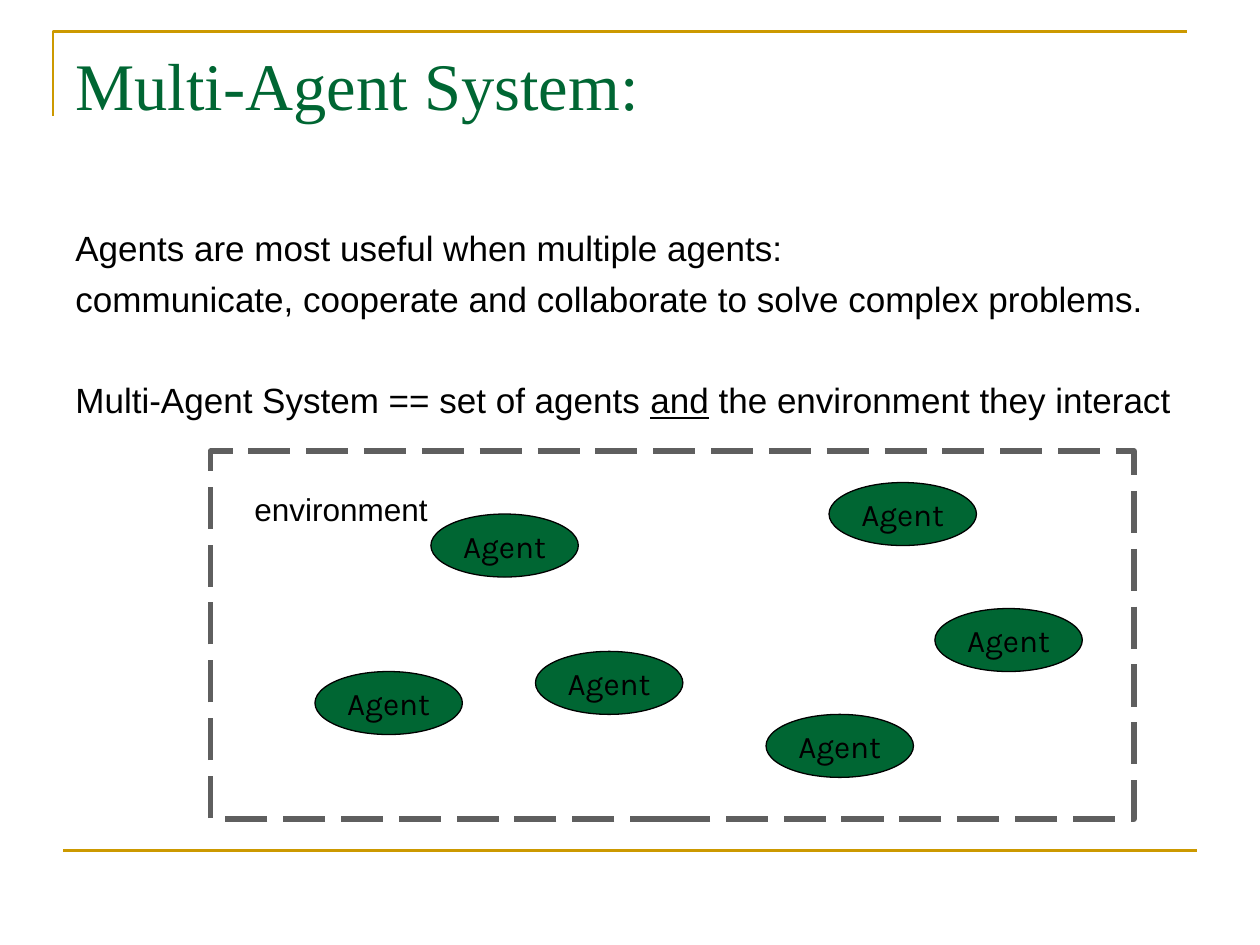
from typing import NamedTuple

from lxml.etree import SubElement
from pptx import Presentation
from pptx.dml.color import RGBColor
from pptx.enum.dml import MSO_LINE
from pptx.enum.shapes import MSO_CONNECTOR, MSO_SHAPE
from pptx.enum.text import MSO_ANCHOR, MSO_AUTO_SIZE, PP_ALIGN
from pptx.oxml.ns import qn
from pptx.util import Inches, Pt

COLORS = {"gold": "CC9900", "green": "006633", "black": "000000", "gray": "5F5F5F"}


class Font(NamedTuple):
    """Typeface, size in points and colour name."""

    face: str
    size: float
    color: str


class Agent(NamedTuple):
    """Top left corner of an agent, in inches."""

    left: float
    top: float


class Statement(NamedTuple):
    """Runs of one paragraph and the space before it, in points."""

    runs: tuple[tuple[str, bool], ...]
    before: float = 0


TITLE_FONT = Font("Times New Roman", 38, "green")
BODY_FONT = Font("Arial", 20, "black")
LABEL_FONT = Font("Arial", 18, "black")
AGENT_FONT = Font("Karla", 18, "black")

STATEMENTS = [
    Statement((("Agents are most useful when multiple agents:", False),)),
    Statement((("communicate, cooperate and collaborate to solve complex problems.", False),), 5),
    Statement((
        ("Multi-Agent System == set of agents ", False),
        ("and", True),
        (" the environment they interact", False),
    ), 34),
]

AGENTS = [
    Agent(2.5, 5.33),
    Agent(3.42, 4.08),
    Agent(6.08, 5.67),
    Agent(6.58, 3.83),
    Agent(4.25, 5.17),
    Agent(7.42, 4.83),
]


def rgb(name: str) -> RGBColor:
    """Return the named colour."""
    return RGBColor.from_string(COLORS[name])


def set_line(line, color: str, width: float) -> None:
    """Set the colour and width of an outline."""
    line.color.rgb = rgb(color)
    line.width = Pt(width)


def add_run(paragraph, text: str, font: Font, underline: bool = False) -> None:
    """Append one formatted run."""
    run = paragraph.add_run()
    run.text = text
    run.font.name = font.face
    run.font.size = Pt(font.size)
    run.font.color.rgb = rgb(font.color)
    if underline:
        run.font.underline = True


def add_text(slide, left: float, top: float, width: float, height: float,
             statements: list[Statement], font: Font, wrap: bool = True) -> None:
    """Add a text box with one paragraph per statement, grown to fit if unwrapped."""
    box = slide.shapes.add_textbox(Inches(left), Inches(top), Inches(width), Inches(height))
    frame = box.text_frame
    frame.word_wrap = wrap
    if not wrap:
        frame.auto_size = MSO_AUTO_SIZE.SHAPE_TO_FIT_TEXT
    for index, statement in enumerate(statements):
        paragraph = frame.add_paragraph() if index else frame.paragraphs[0]
        if statement.before:
            paragraph.space_before = Pt(statement.before)
        for text, underline in statement.runs:
            add_run(paragraph, text, font, underline)


def add_rules(slide) -> None:
    """Draw the corner rule at the top and the straight rule at the bottom."""
    builder = slide.shapes.build_freeform(Inches(0.42), Inches(0.92))
    builder.add_line_segments(
        [(Inches(0.42), Inches(0.25)), (Inches(9.42), Inches(0.25))], close=False
    )
    corner = builder.convert_to_shape()
    corner.shadow.inherit = False
    corner.fill.background()
    set_line(corner.line, "gold", 1.5)

    footer = slide.shapes.add_connector(
        MSO_CONNECTOR.STRAIGHT, Inches(0.5), Inches(6.75), Inches(9.5), Inches(6.75)
    )
    set_line(footer.line, "gold", 1.5)
    SubElement(footer._element.spPr, qn("a:effectLst"))


def add_environment(slide) -> None:
    """Draw the dashed border of the environment."""
    border = slide.shapes.add_shape(
        MSO_SHAPE.RECTANGLE, Inches(1.67), Inches(3.58), Inches(7.33), Inches(2.92)
    )
    border.shadow.inherit = False
    border.fill.background()
    set_line(border.line, "gray", 3)
    border.line.dash_style = MSO_LINE.LONG_DASH


def add_agent(slide, agent: Agent) -> None:
    """Draw one labelled agent."""
    oval = slide.shapes.add_shape(
        MSO_SHAPE.OVAL, Inches(agent.left), Inches(agent.top), Inches(1.17), Inches(0.5)
    )
    oval.shadow.inherit = False
    oval.fill.solid()
    oval.fill.fore_color.rgb = rgb("green")
    set_line(oval.line, "black", 0.75)
    frame = oval.text_frame
    frame.word_wrap = False
    frame.vertical_anchor = MSO_ANCHOR.MIDDLE
    paragraph = frame.paragraphs[0]
    paragraph.alignment = PP_ALIGN.CENTER
    add_run(paragraph, "Agent", AGENT_FONT)


def main() -> None:
    """Build and save the slide."""
    deck = Presentation()
    deck.slide_width = Inches(10)
    deck.slide_height = Inches(7.5)
    slide = deck.slides.add_slide(deck.slide_layouts[6])

    add_rules(slide)
    title = Statement((("Multi-Agent System:", False),))
    add_text(slide, 0.5, 0.3, 9, 1.25, [title], TITLE_FONT)
    add_text(slide, 0.5, 1.75, 9, 4.95, STATEMENTS, BODY_FONT)
    add_environment(slide)
    for agent in AGENTS:
        add_agent(slide, agent)
    label = Statement((("environment", False),))
    add_text(slide, 1.92, 3.84, 1.6, 0.4, [label], LABEL_FONT, wrap=False)

    deck.save("out.pptx")


if __name__ == "__main__":
    main()
